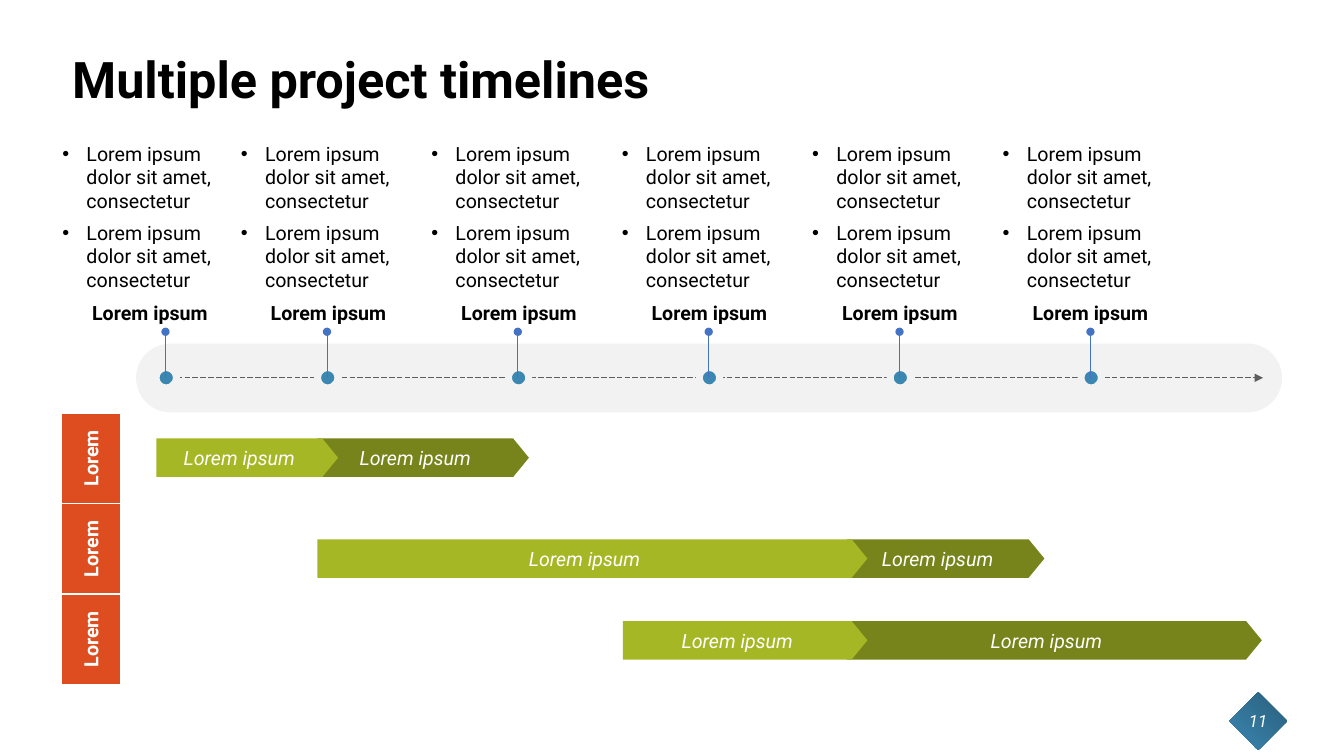
import pptx
import pptx.util
import pptx.dml.color
import pptx.enum.dml
import pptx.enum.shapes
import pptx.enum.text
import pptx.oxml.ns
import lxml.etree

Cm = pptx.util.Cm
Pt = pptx.util.Pt
Shape = pptx.enum.shapes.MSO_SHAPE
Align = pptx.enum.text.PP_ALIGN
Anchor = pptx.enum.text.MSO_ANCHOR
qn = pptx.oxml.ns.qn

COLORS = {
    "text": "000000",
    "white": "FFFFFF",
    "band": "F2F2F2",
    "project": "DE4D1F",
    "axis": "5E5E5E",
    "milestone": "3B87B1",
    "milestone_dark": "295E7B",
    "stem": "4472C4",
    "phase_light": "A6B726",
    "phase_dark": "77831B",
}


def color(name):
    return pptx.dml.color.RGBColor.from_string(COLORS[name])


def write(frame, *paragraphs, size=14, ink="text", bold=False, italic=False,
          align=Align.LEFT, anchor=Anchor.MIDDLE, inset=None, after=None,
          spacing=None, bullet_indent=None):
    frame.word_wrap = True
    frame.vertical_anchor = anchor
    if inset is not None:
        frame.margin_left = frame.margin_right = Cm(inset)
        frame.margin_top = frame.margin_bottom = Cm(inset)
    for index, text in enumerate(paragraphs):
        paragraph = frame.add_paragraph() if index else frame.paragraphs[0]
        if bullet_indent:
            props = paragraph._p.get_or_add_pPr()
            props.set("marL", str(Cm(bullet_indent)))
            props.set("indent", str(-Cm(bullet_indent)))
            lxml.etree.SubElement(props, qn("a:buFont")).set("typeface", "Arial")
            lxml.etree.SubElement(props, qn("a:buChar")).set("char", "•")
        paragraph.alignment = align
        if after is not None:
            paragraph.space_after = Pt(after)
        if spacing is not None:
            paragraph.line_spacing = spacing
        run = paragraph.add_run()
        run.text = text
        run.font.name = "Roboto"
        run.font.size = Pt(size)
        run.font.bold = bold
        run.font.italic = italic
        run.font.color.rgb = color(ink)


class TimelineSlide:
    def __init__(self, slide):
        self.shapes = slide.shapes

    def text(self, left, top, width, height, *paragraphs, **style):
        box = self.shapes.add_textbox(Cm(left), Cm(top), Cm(width), Cm(height))
        write(box.text_frame, *paragraphs, **style)

    def block(self, kind, left, top, width, height, fill, outline=None,
              weight=1, rotation=0, adjust=()):
        block = self.shapes.add_shape(kind, Cm(left), Cm(top), Cm(width), Cm(height))
        block.shadow.inherit = False
        block.rotation = rotation
        for index, value in enumerate(adjust):
            block.adjustments[index] = value
        block.fill.solid()
        block.fill.fore_color.rgb = color(fill)
        if outline:
            block.line.color.rgb = color(outline)
            block.line.width = Pt(weight)
        else:
            block.line.fill.background()
        return block

    def line(self, x1, y1, x2, y2, ink, end, marker, dash=None):
        line = self.shapes.add_connector(
            pptx.enum.shapes.MSO_CONNECTOR.STRAIGHT, Cm(x1), Cm(y1), Cm(x2), Cm(y2))
        line.line.color.rgb = color(ink)
        line.line.width = Pt(0.5)
        if dash:
            line.line.dash_style = dash
        outline = line.line._get_or_add_ln()
        lxml.etree.SubElement(outline, qn(f"a:{end}")).set("type", marker)
        lxml.etree.SubElement(line._element.spPr, qn("a:effectLst"))

    def page_number(self, number):
        badge = self.block(Shape.ROUNDED_RECTANGLE, 31.19, 17.65, 1.04, 1.04,
                           "milestone", rotation=45.1, adjust=[0.043])
        badge.fill.gradient()
        badge.fill.gradient_angle = 270
        for stop, name, position in zip(badge.fill.gradient_stops,
                                        ("milestone_dark", "milestone"), (0, 1)):
            stop.color.rgb = color(name)
            stop.position = position
        self.text(31.12, 17.65, 1.17, 1.02, number, size=12, ink="white",
                  italic=True, align=Align.CENTER)

    def project(self, top, name):
        tab = self.block(Shape.RECTANGLE, 1.14, top, 2.29, 1.5, "project",
                         outline="white", rotation=270)
        write(tab.text_frame, name, ink="white", bold=True, align=Align.CENTER)

    def note(self, left, heading, *points):
        self.text(left, 3.1, 4.42, 4.24, *points, anchor=Anchor.BOTTOM,
                  inset=0, after=6, bullet_indent=0.61)
        self.text(left, 7.59, 4.42, 0.61, heading, bold=True, align=Align.CENTER,
                  anchor=Anchor.TOP, inset=0, after=6)

    def phase(self, left, top, width, fill, label):
        bar = self.block(Shape.RIGHT_ARROW, left, top, width, 0.97, fill,
                         adjust=[1, 0.409])
        write(bar.text_frame, label, ink="white", italic=True, align=Align.CENTER)


def main():
    deck = pptx.Presentation()
    deck.slide_width, deck.slide_height = Cm(33.87), Cm(19.05)
    timeline = TimelineSlide(deck.slides.add_slide(deck.slide_layouts[6]))

    timeline.page_number("11")
    timeline.text(1.57, 1.02, 30.73, 2.08, "Multiple project timelines",
                  size=36, bold=True, spacing=0.9)
    timeline.block(Shape.ROUNDED_RECTANGLE, 3.43, 8.66, 28.88, 1.73, "band",
                   adjust=[0.5])
    for row in range(3):
        timeline.project(10.8 + 2.28 * row, "Lorem")

    axis_y, dot = 9.52, 0.51
    timeline.line(4.06, axis_y, 31.83, axis_y, "axis", "tailEnd", "triangle",
                  dash=pptx.enum.dml.MSO_LINE.LONG_DASH)
    milestones = [4.19] + [8.26 + 4.81 * step for step in range(5)]
    notes = [1.57] + [6.07 + 4.8 * step for step in range(5)]
    for center in milestones:
        timeline.block(Shape.OVAL, center - dot / 2, axis_y - dot / 2, dot, dot,
                       "milestone", outline="band", weight=5)
    for left in notes:
        timeline.note(left, "Lorem ipsum",
                      *["Lorem ipsum dolor sit amet, consectetur"] * 2)
    for center in milestones:
        stem = center - 0.02
        timeline.line(stem, 8.36, stem, axis_y, "stem", "headEnd", "oval")

    overlap = 0.52
    for top, start, change, finish in [(11.05, 3.94, 8.0, 13.33),
                                       (13.59, 8.0, 21.34, 26.32),
                                       (15.65, 15.7, 21.34, 31.8)]:
        timeline.phase(change, top, finish - change, "phase_dark", "Lorem ipsum")
        timeline.phase(start, top, change + overlap - start, "phase_light",
                       "Lorem ipsum")

    deck.save("out.pptx")


if __name__ == "__main__":
    main()
